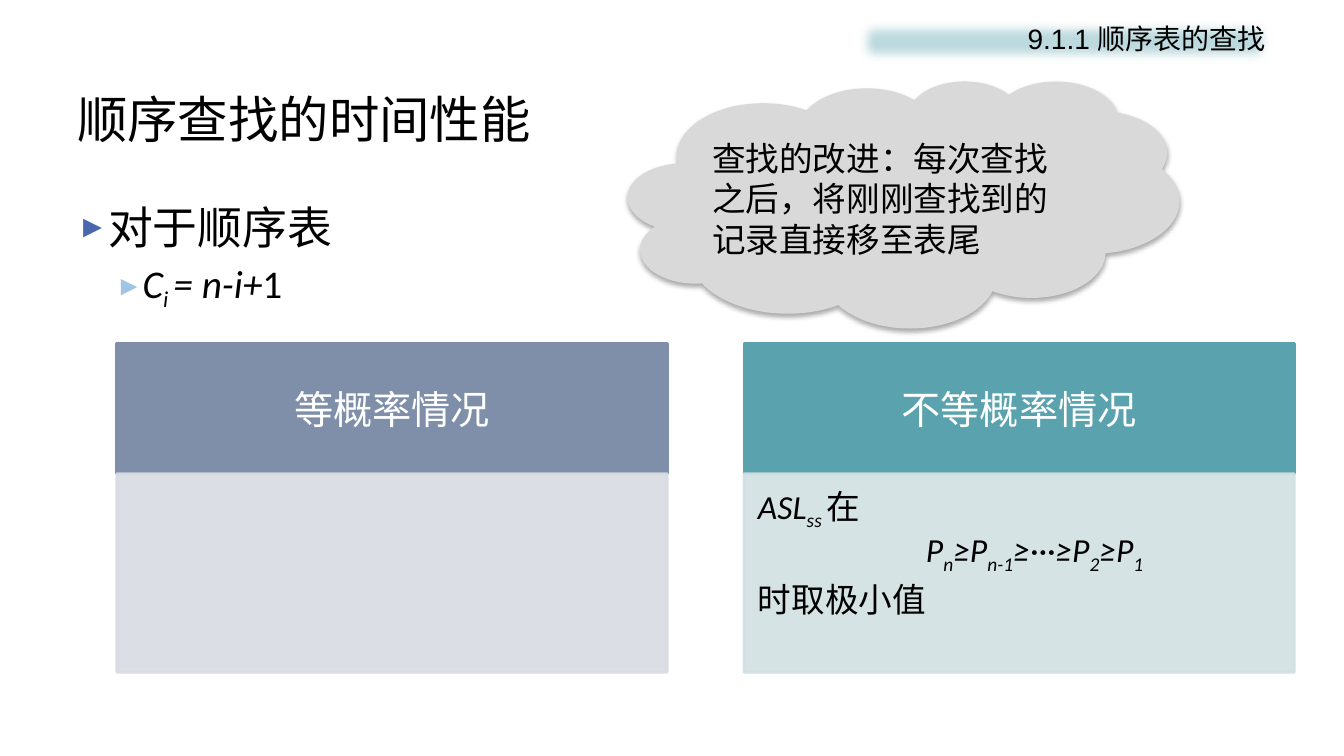
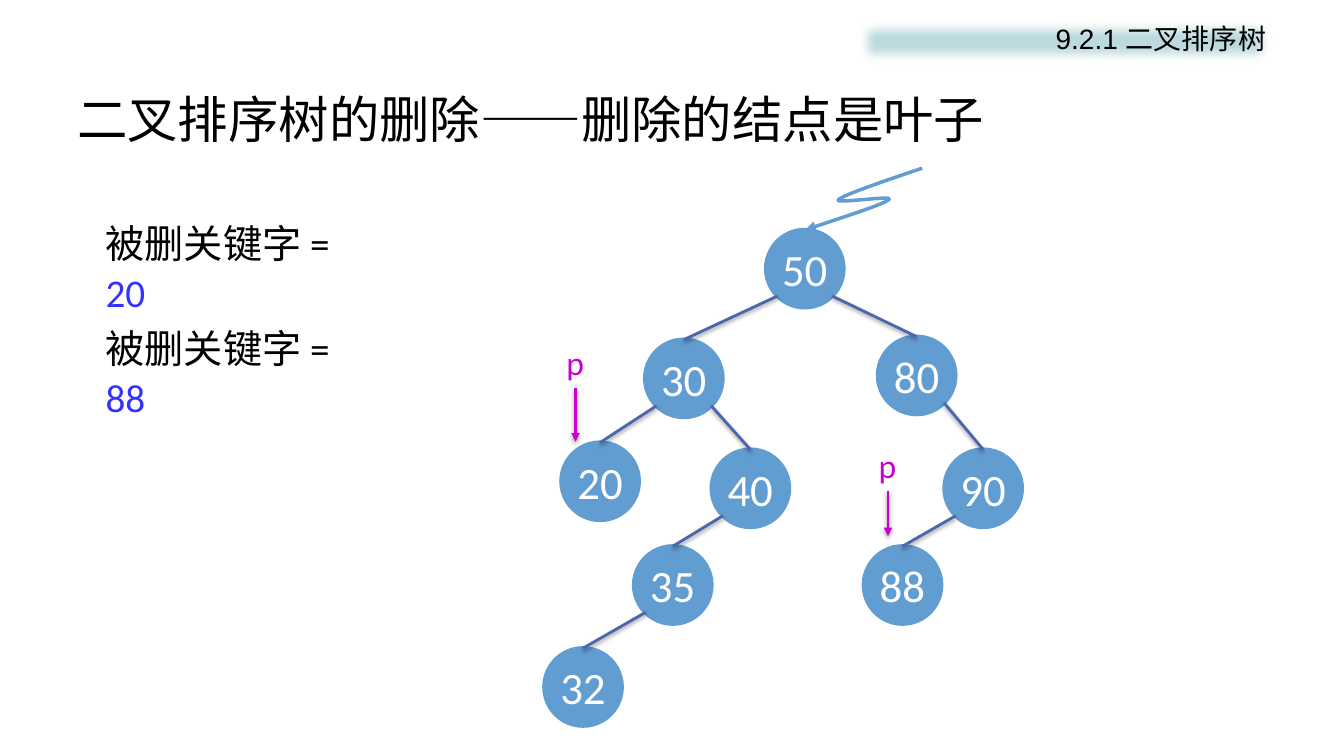
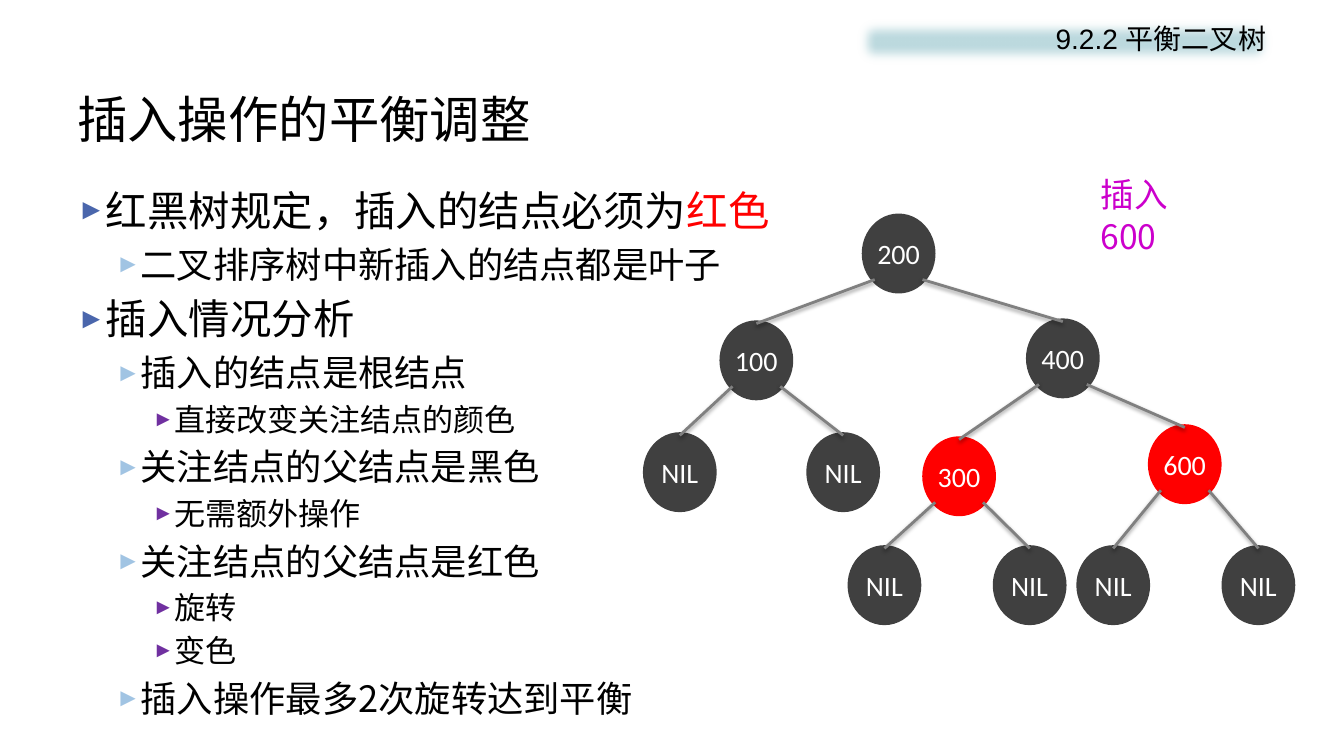
from lxml import etree
from pptx import Presentation
from pptx.dml.color import RGBColor
from pptx.enum.shapes import MSO_CONNECTOR, MSO_SHAPE
from pptx.enum.text import MSO_ANCHOR, PP_ALIGN
from pptx.oxml.ns import nsdecls, qn
from pptx.util import Pt

RECTANGLE = MSO_SHAPE.RECTANGLE
ELLIPSE = MSO_SHAPE.OVAL
CLOUD = MSO_SHAPE.CLOUD
STRAIGHT = MSO_CONNECTOR.STRAIGHT
TOP, MIDDLE = MSO_ANCHOR.TOP, MSO_ANCHOR.MIDDLE
CENTER, RIGHT = PP_ALIGN.CENTER, PP_ALIGN.RIGHT

LATIN, CJK, HEADER_FONT = "Calibri", "Noto Sans CJK SC", "Arial"
BLACK, WHITE, RED = "000000", "FFFFFF", "FF0000"
BAND, BLUE, EDGE_BLUE = "BDDADF", "629DD1", "4A66AC"
DARK, EDGE_GRAY, MAGENTA, KEY_BLUE = "404040", "808080", "CC00CC", "3333FF"
LEVEL_COLORS = ["4A66AC", "A1C4E3", "7030A0"]
LEVEL_LEFTS = [20, 44, 67.5]
LEVEL_HANGS = [20, 16.5, 13.5]
LEVEL_SIZES = [29.6, 25.9, 22.2]
INSETS = (7.2, 3.6, 7.2, 3.6)
SUB = {"italic": True, "baseline": -25}
ITALIC = {"italic": True}

EQUAL_CARD = ("等概率情况", 83.5, "7F8FA9", "D8DBE2")
UNEQUAL_CARD = ("不等概率情况", 531.4, "5AA2AE", "D1E0E3")

SEARCH_TREE = {
    "50": (547.2, 164.2, None),
    "30": (460.8, 242.6, "50"),
    "80": (627.1, 240.5, "50"),
    "20": (401, 316.1, "30"),
    "40": (508.3, 321.1, "30"),
    "90": (674.6, 321.1, "80"),
    "35": (452.9, 390.2, "40"),
    "88": (617, 390.2, "90"),
    "32": (388.8, 463, "35"),
}
RED_BLACK_TREE = {
    "200": (617.8, 154.8, None),
    "100": (516.2, 231.1, "200"),
    "400": (735.1, 229.7, "200"),
    "300": (661, 313.9, "400"),
    "600": (822.2, 305.3, "400"),
    "NIL 1": (461.5, 311, "100"),
    "NIL 2": (578.2, 311, "100"),
    "NIL 3": (607.7, 391.7, "300"),
    "NIL 4": (711.4, 391.7, "300"),
    "NIL 5": (771.1, 391.7, "600"),
    "NIL 6": (874.8, 391.7, "600"),
}
INSERT_RULES = [
    (0, ["红黑树规定，插入的结点必须为", ("红色", {"color": RED})]),
    (1, ["二叉排序树中新插入的结点都是叶子"]),
    (0, ["插入情况分析"]),
    (1, ["插入的结点是根结点"]),
    (2, ["直接改变关注结点的颜色"]),
    (1, ["关注结点的父结点是黑色"]),
    (2, ["无需额外操作"]),
    (1, ["关注结点的父结点是红色"]),
    (2, ["旋转"]),
    (2, ["变色"]),
    (1, ["插入操作最多2次旋转达到平衡"]),
]
SQUIGGLE_START = (658.8, 120.2)
SQUIGGLE_CURVES = [
    ((630.7, 129.6), (603.4, 139), (599, 142.6)),
    ((594.7, 146.2), (639.4, 139), (635, 142.6)),
    ((630.7, 146.2), (603.4, 154.8), (575.3, 164.2)),
]


def rgb(color):
    """Turn a hex string into a colour."""
    return RGBColor.from_string(color)


def append_xml(parent, tag, body="", **attributes):
    """Append one drawing element with the given content."""
    values = "".join(f' {name}="{value}"' for name, value in attributes.items())
    parent.append(etree.fromstring(f"<a:{tag} {nsdecls('a')}{values}>{body}</a:{tag}>"))


def add_shadow(shape, alpha, blur, distance):
    """Give a shape a soft black shadow falling downwards."""
    body = (
        f'<a:outerShdw blurRad="{Pt(blur)}" dist="{Pt(distance)}" dir="5400000" rotWithShape="0">'
        f'<a:srgbClr val="{BLACK}"><a:alpha val="{alpha * 1000}"/></a:srgbClr></a:outerShdw>'
    )
    replace_effects(shape, body)


def replace_effects(shape, body):
    """Replace the effect list of a shape."""
    properties = shape._element.spPr
    for effects in properties.findall(qn("a:effectLst")):
        properties.remove(effects)
    append_xml(properties, "effectLst", body)


def set_frame(shape, anchor=TOP, insets=INSETS, wrap=True):
    """Set wrapping, anchor and insets, and return the text frame."""
    frame = shape.text_frame
    frame.word_wrap = wrap
    frame.vertical_anchor = anchor
    frame.margin_left, frame.margin_top, frame.margin_right, frame.margin_bottom = map(Pt, insets)
    return frame


def add_run(paragraph, text, size, color, font, italic=False, baseline=0):
    """Add one formatted run."""
    run = paragraph.add_run()
    run.text = text
    run.font.size = Pt(size)
    run.font.name = font
    run.font.italic = italic
    run.font.color.rgb = rgb(color)
    properties = run._r.get_or_add_rPr()
    if baseline:
        properties.set("baseline", str(baseline * 1000))
    append_xml(properties, "ea", typeface=CJK)


def add_paragraph(frame, runs, size, color=BLACK, font=LATIN, leading=1.2,
                  align=None, left=0, level=None, before=0):
    """Add a paragraph; runs are strings or pairs of string and options."""
    first = not frame.paragraphs[0].runs
    paragraph = frame.paragraphs[0] if first else frame.add_paragraph()
    properties = paragraph._p.get_or_add_pPr()
    if level is not None:
        left = LEVEL_LEFTS[level]
        properties.set("indent", str(-Pt(LEVEL_HANGS[level])))
        append_xml(properties, "buClr", f'<a:srgbClr val="{LEVEL_COLORS[level]}"/>')
        append_xml(properties, "buSzPct", val=70000)
        append_xml(properties, "buFont", typeface=HEADER_FONT)
        append_xml(properties, "buChar", char="►")
    properties.set("marL", str(Pt(left)))
    paragraph.alignment = align
    if leading:
        paragraph.line_spacing = Pt(round(size * leading, 1))
    if before and not first:
        paragraph.space_before = Pt(before)
    for item in runs:
        text, options = (item, {}) if isinstance(item, str) else item
        add_run(paragraph, text, size, **{"color": color, "font": font, **options})


def add_text(slide, box, wrap=True, anchor=TOP):
    """Add a text box and return its frame."""
    return set_frame(slide.shapes.add_textbox(*map(Pt, box)), anchor, wrap=wrap)


def add_block(slide, kind, box, fill, line_width=0, alpha=100):
    """Add a filled shape with an outline of the same colour."""
    shape = slide.shapes.add_shape(kind, *map(Pt, box))
    shape.shadow.inherit = False
    shape.fill.solid()
    shape.fill.fore_color.rgb = rgb(fill)
    if line_width:
        shape.line.color.rgb = rgb(fill)
        shape.line.width = Pt(line_width)
    else:
        shape.line.fill.background()
    if alpha < 100:
        for color in shape._element.spPr.iter(qn("a:srgbClr")):
            append_xml(color, "alpha", val=alpha * 1000)
    return shape


def add_arrowhead(shape):
    """Put a triangle at the end of a line."""
    append_xml(shape.line._get_or_add_ln(), "tailEnd", type="triangle")


def add_line(slide, start, end, color, arrow=False):
    """Add a straight shadowed line."""
    line = slide.shapes.add_connector(STRAIGHT, *map(Pt, (*start, *end)))
    line.line.color.rgb = rgb(color)
    line.line.width = Pt(2)
    if arrow:
        add_arrowhead(line)
    add_shadow(line, 38, 3.1, 1.6)


def add_tree(slide, tree, node_size, fills, outline, font_size, edge_color):
    """Draw the nodes, then an edge from each parent to its child's top."""
    width, height = node_size
    for name, (left, top, _) in tree.items():
        fill = fills.get(name, fills["default"])
        node = add_block(slide, ELLIPSE, (left, top, width, height), fill, outline)
        frame = set_frame(node, MIDDLE, wrap=False)
        add_paragraph(frame, [name.split()[0]], font_size, WHITE, leading=None, align=CENTER)
    for left, top, parent in tree.values():
        if parent:
            parent_left, parent_top, _ = tree[parent]
            side = 0.146 if left < parent_left else 0.854
            start = (parent_left + side * width, parent_top + 0.854 * height)
            add_line(slide, start, (left + width / 2, top), edge_color)


def add_pointer(slide, x, top, length):
    """Add the letter p with an arrow below it."""
    frame = add_text(slide, (x - 13.7, top - 36.7, 27.4, 36), wrap=False)
    add_paragraph(frame, ["p"], 24, MAGENTA, leading=None)
    add_line(slide, (x, top), (x, top + length), MAGENTA, arrow=True)


def curve_points(start, curves, steps=16):
    """Sample a chain of cubic curves."""
    for first, second, end in curves:
        for step in range(1, steps + 1):
            t = step / steps
            weights = ((1 - t) ** 3, 3 * t * (1 - t) ** 2, 3 * t * t * (1 - t), t ** 3)
            corners = (start, first, second, end)
            yield tuple(Pt(sum(w * c[axis] for w, c in zip(weights, corners))) for axis in (0, 1))
        start = end


def add_squiggle(slide):
    """Draw the curved arrow that points at the root."""
    builder = slide.shapes.build_freeform(*map(Pt, SQUIGGLE_START))
    builder.add_line_segments(list(curve_points(SQUIGGLE_START, SQUIGGLE_CURVES)), close=False)
    shape = builder.convert_to_shape()
    shape.shadow.inherit = False
    shape.fill.background()
    shape.line.color.rgb = rgb(BLUE)
    shape.line.width = Pt(2.5)
    add_arrowhead(shape)


def add_card(slide, title, left, head_color, body_color):
    """Add a headed card and return the frame of its body."""
    head = add_block(slide, RECTANGLE, (left, 245.5, 393.1, 92.9), head_color, 2)
    frame = set_frame(head, MIDDLE, (16, 9, 16, 9))
    add_paragraph(frame, [title], 28, WHITE, align=CENTER)
    body = add_block(slide, RECTANGLE, (left, 338.4, 393.1, 141.8), body_color, 2, alpha=90)
    return set_frame(body, insets=(10, 10, 14, 15))


def start_slide(presentation, section, title):
    """Add a slide with the section band and the title."""
    slide = presentation.slides.add_slide(presentation.slide_layouts[6])
    band = add_block(slide, RECTANGLE, (609.1, 10.1, 302.4, 38.9), BAND)
    replace_effects(band, f'<a:softEdge rad="{Pt(9)}"/>')
    add_paragraph(set_frame(band), [section], 20, font=HEADER_FONT, leading=1.3, align=RIGHT)
    frame = add_text(slide, (48, 57.6, 864, 54), anchor=MIDDLE)
    add_paragraph(frame, [title], 36, font=CJK, leading=None)
    return slide


def build_performance(presentation):
    """Build the slide on the cost of sequential search."""
    slide = start_slide(presentation, "9.1.1 顺序表的查找", "顺序查找的时间性能")
    body = add_text(slide, (48, 129.6, 400, 112))
    add_paragraph(body, ["对于顺序表"], 32, leading=1.5, level=0)
    formula = [("C", ITALIC), ("i ", SUB), ("= n-i+", ITALIC), "1"]
    add_paragraph(body, formula, 28, leading=1.5, level=1)
    add_card(slide, *EQUAL_CARD)
    card = add_card(slide, *UNEQUAL_CARD)
    add_paragraph(card, [("ASL", ITALIC), ("ss ", SUB), "在"], 24, leading=1.3)
    order = [("P", ITALIC), ("n", SUB), ("≥P", ITALIC), ("n-1", SUB), ("≥···≥P", ITALIC),
             ("2", SUB), ("≥P", ITALIC), ("1", SUB)]
    add_paragraph(card, order, 24, leading=1.3, left=120)
    add_paragraph(card, ["时取极小值"], 24, leading=1.3)
    cloud = add_block(slide, CLOUD, (448.6, 57.6, 393.8, 176.4), "D9D9D9")
    add_shadow(cloud, 32, 3.5, 2.2)
    frame = set_frame(cloud, MIDDLE, (5.8, 3.6, 0, 3.6))
    add_paragraph(frame, ["查找的改进：每次查找之后，将刚刚查找到的记录直接移至表尾"], 24)


def build_leaf_deletion(presentation):
    """Build the slide on deleting a leaf."""
    slide = start_slide(presentation, "9.2.1 二叉排序树", "二叉排序树的删除——删除的结点是叶子")
    for key, top in (("20", 151.9), ("88", 226.8)):
        frame = add_text(slide, (68.4, top, 200, 74))
        runs = ["被删关键字 =", (f" {key}", {"color": KEY_BLUE})]
        add_paragraph(frame, runs, 28, leading=1.25)
    add_tree(slide, SEARCH_TREE, (55.4, 55.4), {"default": BLUE}, 3, 32, EDGE_BLUE)
    add_squiggle(slide)
    add_pointer(slide, 411.1, 277.2, 38.2)
    add_pointer(slide, 634.3, 350.6, 32.4)


def build_insertion(presentation):
    """Build the slide on rebalancing after insertion."""
    slide = start_slide(presentation, "9.2.2 平衡二叉树", "插入操作的平衡调整")
    body = add_text(slide, (48, 128.5, 552.2, 373.7))
    for level, runs in INSERT_RULES:
        size = LEVEL_SIZES[level]
        add_paragraph(body, runs, size, font=CJK, level=level, before=round(size * 0.2, 1))
    fills = {"default": DARK, "300": RED, "600": RED}
    add_tree(slide, RED_BLACK_TREE, (48.2, 52.6), fills, 4.5, 20, EDGE_GRAY)
    frame = add_text(slide, (779, 119.5, 96, 66))
    add_paragraph(frame, ["插入600"], 24, MAGENTA, CJK, leading=1.25)


def main():
    """Build and save the presentation."""
    presentation = Presentation()
    presentation.slide_width, presentation.slide_height = Pt(960), Pt(540)
    build_performance(presentation)
    build_leaf_deletion(presentation)
    build_insertion(presentation)
    presentation.save("out.pptx")


if __name__ == "__main__":
    main()
